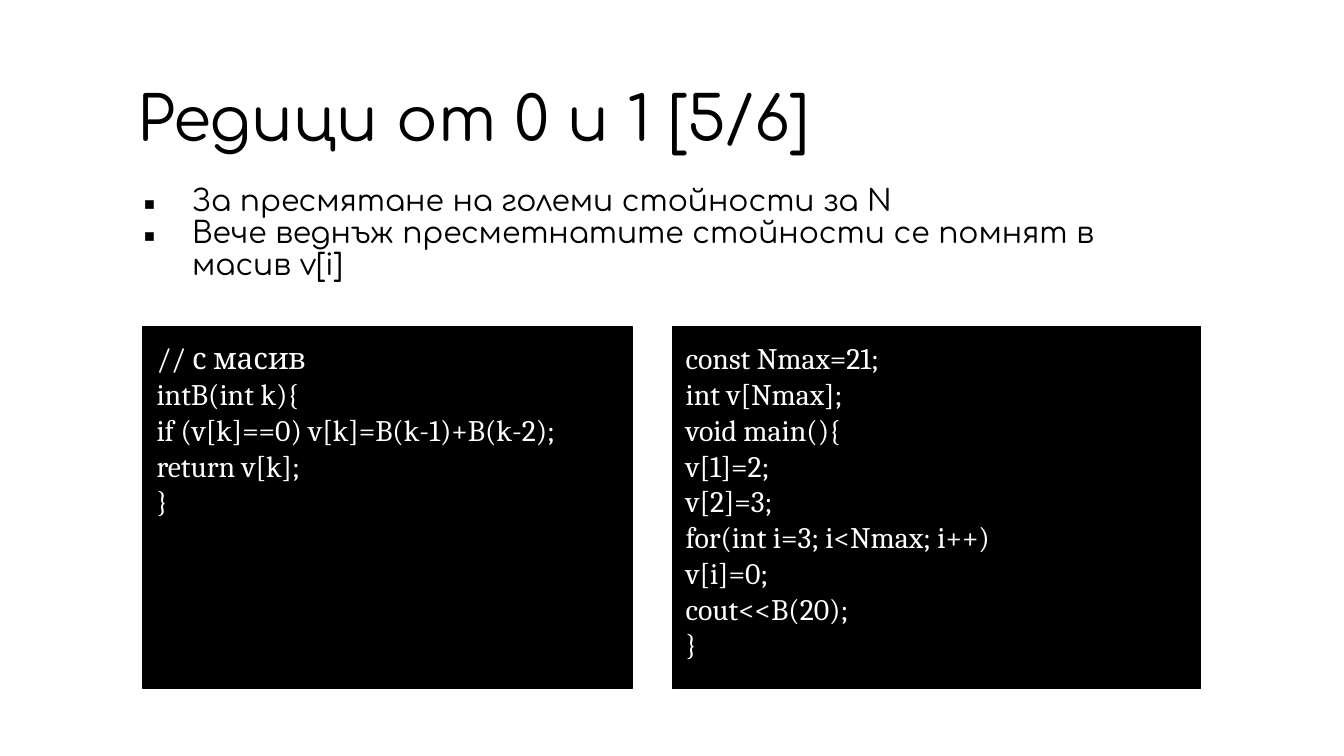
from dataclasses import dataclass

import pptx
import pptx.dml.color
import pptx.enum.shapes
import pptx.enum.text
import pptx.oxml
import pptx.oxml.ns
import pptx.util

Pt = pptx.util.Pt
RGB = pptx.dml.color.RGBColor
ANCHOR = pptx.enum.text.MSO_ANCHOR


@dataclass(frozen=True)
class Theme:
    ink: RGB = RGB(0, 0, 0)
    paper: RGB = RGB(255, 255, 255)
    text_font: str = "Comfortaa"
    code_font: str = "Cambria"
    title_size: float = 44
    text_size: float = 21.3


THEME = Theme()

TITLE = "Редици от 0 и 1 [5/6]"
POINTS = [
    "За пресмятане на големи стойности за N",
    "Вече веднъж пресметнатите стойности се помнят в масив v[i]",
]
FUNCTION_CODE = """// с масив
intB(int k){
if (v[k]==0) v[k]=B(k-1)+B(k-2);
return v[k];
}"""
MAIN_CODE = """const Nmax=21;
int v[Nmax];
void main(){
v[1]=2;
v[2]=3;
for(int i=3; i<Nmax; i++)
v[i]=0;
cout<<B(20);
}"""


def place(shape, box):
    shape.left, shape.top, shape.width, shape.height = (Pt(length) for length in box)


def add_bullet(paragraph, left, hanging):
    properties = paragraph._p.get_or_add_pPr()
    properties.set("marL", str(Pt(left)))
    properties.set("indent", str(-Pt(hanging)))
    namespace = pptx.oxml.ns.nsdecls("a")
    properties.append(pptx.oxml.parse_xml(f'<a:buFont {namespace} typeface="Noto Sans Symbols"/>'))
    properties.append(pptx.oxml.parse_xml(f'<a:buChar {namespace} char="▪"/>'))


def write(frame, lines, *, font=THEME.text_font, size=THEME.text_size, color=THEME.ink,
          inset=(8.64, 2.88), anchor=ANCHOR.TOP, spacing=0.9, bulleted=False):
    frame.word_wrap = True
    frame.auto_size = pptx.enum.text.MSO_AUTO_SIZE.NONE
    frame.vertical_anchor = anchor
    frame.margin_left = frame.margin_right = Pt(inset[0])
    frame.margin_top = frame.margin_bottom = Pt(inset[1])
    for number, line in enumerate(lines):
        paragraph = frame.add_paragraph() if number else frame.paragraphs[0]
        paragraph.text = line
        if bulleted:
            add_bullet(paragraph, left=48, hanging=34.6)
        paragraph.alignment = pptx.enum.text.PP_ALIGN.LEFT
        paragraph.line_spacing = spacing
        paragraph.space_before = paragraph.space_after = Pt(0)
        paragraph.font.name = font
        paragraph.font.size = Pt(size)
        paragraph.font.color.rgb = color


def heading(slide, box):
    title = slide.shapes.title
    place(title, box)
    write(title.text_frame, [TITLE], size=THEME.title_size, anchor=ANCHOR.MIDDLE)


def explanation(slide, box):
    body = slide.placeholders[1]
    place(body, box)
    write(body.text_frame, POINTS, bulleted=True)


def code_panel(slide, box, code):
    panel = slide.shapes.add_shape(pptx.enum.shapes.MSO_SHAPE.RECTANGLE, 0, 0, 0, 0)
    place(panel, box)
    panel.shadow.inherit = False
    panel.fill.solid()
    panel.fill.fore_color.rgb = THEME.ink
    panel.line.color.rgb = THEME.ink
    panel.line.width = Pt(1)
    write(panel.text_frame, code.split("\n"), font=THEME.code_font, color=THEME.paper,
          inset=(9.6, 9.6), spacing=1.0)


def code_slide(deck):
    slide = deck.slides.add_slide(deck.slide_layouts[1])
    # Title and explanation
    heading(slide, (89.3, 56.9, 811.4, 60.5))
    explanation(slide, (80.6, 129.6, 769, 77))
    # Code panels side by side
    panels_top, panels_height = 233.3, 258.5
    for left, width, code in ((102.2, 349.2, FUNCTION_CODE), (480.2, 377.3, MAIN_CODE)):
        code_panel(slide, (left, panels_top, width, panels_height), code)


def main():
    deck = pptx.Presentation()
    deck.slide_width, deck.slide_height = Pt(960), Pt(540)
    code_slide(deck)
    deck.save("out.pptx")


if __name__ == "__main__":
    main()
